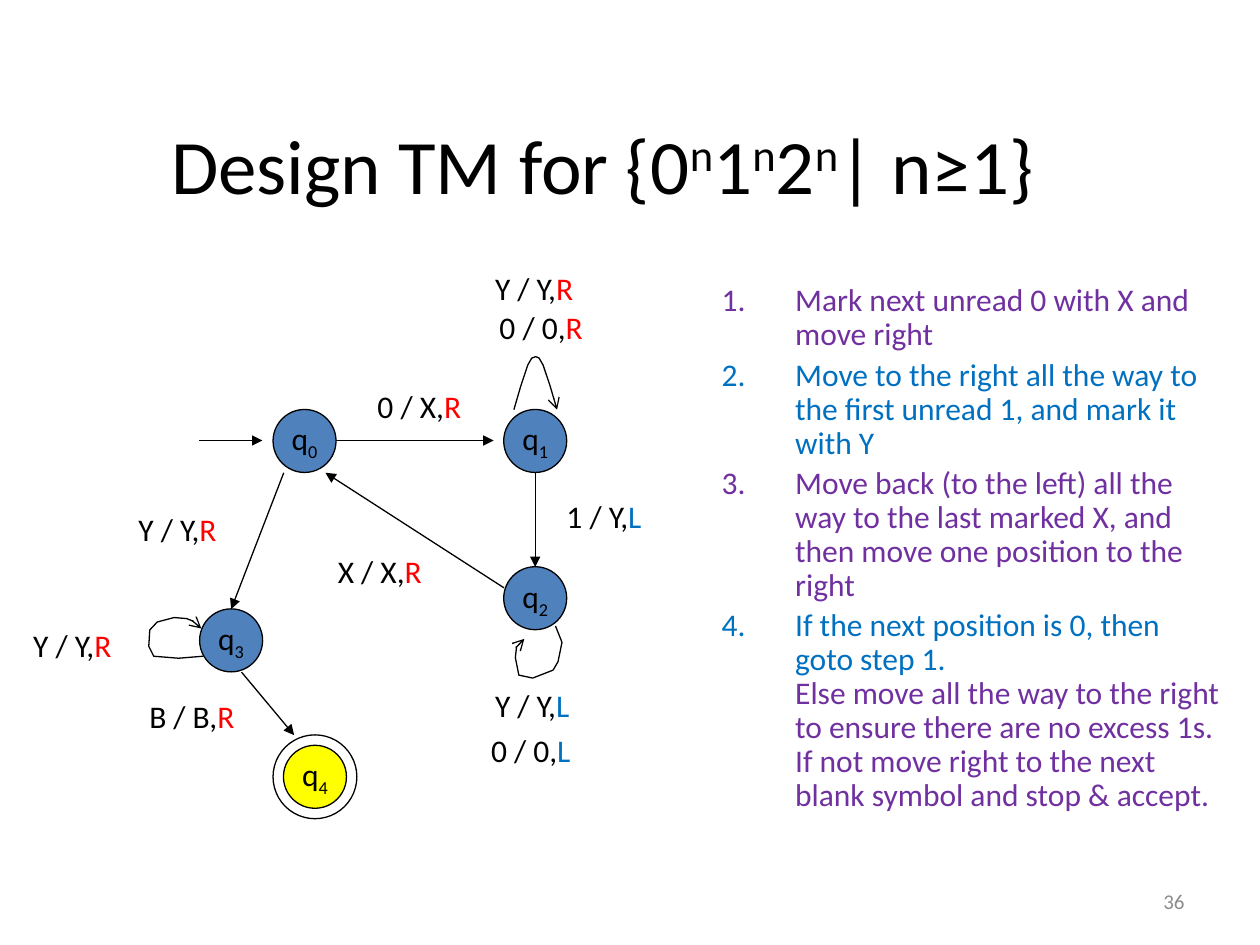
from lxml.etree import SubElement
from pptx import Presentation
from pptx.dml.color import RGBColor
from pptx.enum.shapes import MSO_CONNECTOR, MSO_SHAPE
from pptx.enum.text import MSO_ANCHOR, MSO_AUTO_SIZE, PP_ALIGN
from pptx.oxml.ns import qn
from pptx.util import Cm, Pt

COLORS = {
    "black": "000000", "state": "4F81BD", "accept": "FFFF00", "R": "FF0000",
    "L": "0070C0", "blue": "0070C0", "purple": "7030A0", "gray": "8C8C8C",
}


def write(paragraph, pieces, size=18):
    """Fill a paragraph with (text, colour, baseline percent) pieces."""
    for text, color, baseline in pieces:
        run = paragraph.add_run()
        run.text = text
        run.font.name = "Calibri"
        run.font.size = Pt(size)
        run.font.color.rgb = RGBColor.from_string(COLORS[color])
        if baseline:
            run.font._element.set("baseline", str(baseline * 1000))


def outline(shape, head=None):
    """Thin black line, with an arrowhead at its end if one is given."""
    shape.line.color.rgb = RGBColor.from_string(COLORS["black"])
    shape.line.width = Pt(0.75)
    if head:
        SubElement(shape.line._get_or_add_ln(), qn("a:tailEnd"), type=head)


prs = Presentation()
prs.slide_width, prs.slide_height = Cm(25.4), Cm(19.05)
slide = prs.slides.add_slide(prs.slide_layouts[6])
shapes = slide.shapes

# Title
title = shapes.add_textbox(Cm(3.2), Cm(1.72), Cm(21.64), Cm(3.18)).text_frame
title.word_wrap = True
title.vertical_anchor = MSO_ANCHOR.MIDDLE
title_pieces = []
for base in ("Design TM for {0", "1", "2"):
    title_pieces += [(base, "black", 0), ("n", "black", 30)]
write(title.paragraphs[0], title_pieces + [("| n≥1}", "black", 0)], 44)

# States: number, centre x, centre y
STATE_SIZE, RING_SIZE = 1.27, 1.69
states = [(0, 6.14, 8.89), (1, 10.79, 8.89), (2, 10.79, 12.06),
          (3, 4.66, 12.91), (4, 6.35, 15.66)]
for number, x, y in states:
    state = shapes.add_shape(
        MSO_SHAPE.OVAL, Cm(x - STATE_SIZE / 2), Cm(y - STATE_SIZE / 2),
        Cm(STATE_SIZE), Cm(STATE_SIZE))
    state.shadow.inherit = False
    state.fill.solid()
    state.fill.fore_color.rgb = RGBColor.from_string(
        COLORS["accept" if number == 4 else "state"])
    outline(state)
    state.text_frame.word_wrap = False
    state.text_frame.vertical_anchor = MSO_ANCHOR.MIDDLE
    name = state.text_frame.paragraphs[0]
    name.alignment = PP_ALIGN.CENTER
    write(name, [("q", "black", 0), (str(number), "black", -25)])

# Ring around the accepting state, the last one placed
ring = shapes.add_shape(
    MSO_SHAPE.OVAL, Cm(x - RING_SIZE / 2), Cm(y - RING_SIZE / 2),
    Cm(RING_SIZE), Cm(RING_SIZE))
ring.shadow.inherit = False
ring.fill.background()
outline(ring)

# Straight transitions
transitions = [
    (4.02, 8.88, 5.29, 8.88),     # start
    (6.77, 8.88, 9.95, 8.88),     # q0 to q1
    (10.79, 9.53, 10.79, 11.43),  # q1 to q2
    (10.16, 11.85, 6.56, 9.53),   # q2 to q0
    (5.72, 9.53, 4.66, 12.28),    # q0 to q3
    (4.87, 13.55, 5.93, 14.82),   # q3 to q4
]
for ends in transitions:
    transition = shapes.add_connector(
        MSO_CONNECTOR.STRAIGHT, *[Cm(value) for value in ends])
    outline(transition, "triangle")
    SubElement(transition._element.spPr, qn("a:effectLst"))

# Self-loops, each drawn through its turning points
self_loops = [
    # q1
    [(10.36, 8.26), (10.5, 7.78), (10.64, 7.36), (10.72, 7.22), (10.8, 7.19),
     (10.87, 7.22), (10.95, 7.36), (11.09, 7.78), (11.23, 8.26)],
    # q2
    [(11.2, 12.62), (11.33, 12.95), (11.25, 13.34), (11.15, 13.51),
     (10.74, 13.67), (10.46, 13.61), (10.39, 13.26), (10.42, 12.98),
     (10.57, 12.88)],
    # q3
    [(4.09, 13.23), (3.6, 13.27), (3.1, 13.23), (3, 13.03), (3.02, 12.7),
     (3.17, 12.54), (3.51, 12.45), (3.76, 12.47), (3.89, 12.52),
     (3.96, 12.62), (4.06, 12.67)],
]
for points in self_loops:
    start, *turns = [(Cm(x), Cm(y)) for x, y in points]
    builder = shapes.build_freeform(*start)
    builder.add_line_segments(turns, close=False)
    self_loop = builder.convert_to_shape()
    self_loop.shadow.inherit = False
    self_loop.fill.background()
    outline(self_loop, "arrow")

# Transition labels: read / write, head move, left, top, width
labels = [
    ("0 / X,", "R", 7.36, 7.67, 2.67),
    ("Y / Y,", "R", 9.73, 5.29, 2.64),
    ("0 / 0,", "R", 9.82, 6.09, 2.59),
    ("1 / Y,", "L", 11.17, 9.9, 2.57),
    ("Y / Y,", "L", 9.73, 13.71, 2.62),
    ("0 / 0,", "L", 9.65, 14.61, 2.46),
    ("X / X,", "R", 6.56, 11, 2.74),
    ("Y / Y,", "R", 2.54, 10.16, 2.74),
    ("Y / Y,", "R", 0.42, 12.5, 2.74),
    ("B / B,", "R", 2.76, 13.92, 2.74),
]
for symbols, move, left, top, width in labels:
    label = shapes.add_textbox(Cm(left), Cm(top), Cm(width), Cm(1.09)).text_frame
    label.word_wrap = False
    label.auto_size = MSO_AUTO_SIZE.SHAPE_TO_FIT_TEXT
    write(label.paragraphs[0], [(symbols, "black", 0), (move, move, 0)])

# Numbered steps
steps = [
    ("Mark next unread 0 with X and move right", "purple"),
    ("Move to the right all the way to the first unread 1, "
     "and mark it with Y", "blue"),
    ("Move back (to the left) all the way to the last marked X, "
     "and then move one position to the right", "purple"),
    ("If the next position is 0, then goto step 1.", "blue"),
]
procedure = shapes.add_textbox(Cm(14.3), Cm(5.61), Cm(10.59), Cm(11.43)).text_frame
procedure.word_wrap = True
for index, (text, color) in enumerate(steps):
    step = procedure.add_paragraph() if index else procedure.paragraphs[0]
    step.line_spacing = 0.9
    step.space_before = Pt(3.6)
    properties = step._p.get_or_add_pPr()
    properties.set("marL", str(Cm(1.48)))
    properties.set("indent", str(-Cm(1.48)))
    SubElement(properties, qn("a:buFont"), typeface="+mj-lt")
    SubElement(properties, qn("a:buAutoNum"), type="arabicPeriod")
    write(step, [(text, color, 0)])

# The last step goes on in a second colour
step.add_line_break()
write(step, [("Else move all the way to the right to ensure there are no "
              "excess 1s. If not move right to the next blank symbol and "
              "stop & accept.", "purple", 0)])

# Slide number
page = shapes.add_textbox(Cm(18.21), Cm(17.65), Cm(5.92), Cm(1.02)).text_frame
page.word_wrap = True
page.vertical_anchor = MSO_ANCHOR.MIDDLE
page.paragraphs[0].alignment = PP_ALIGN.RIGHT
write(page.paragraphs[0], [("36", "gray", 0)], 12)

prs.save("out.pptx")
